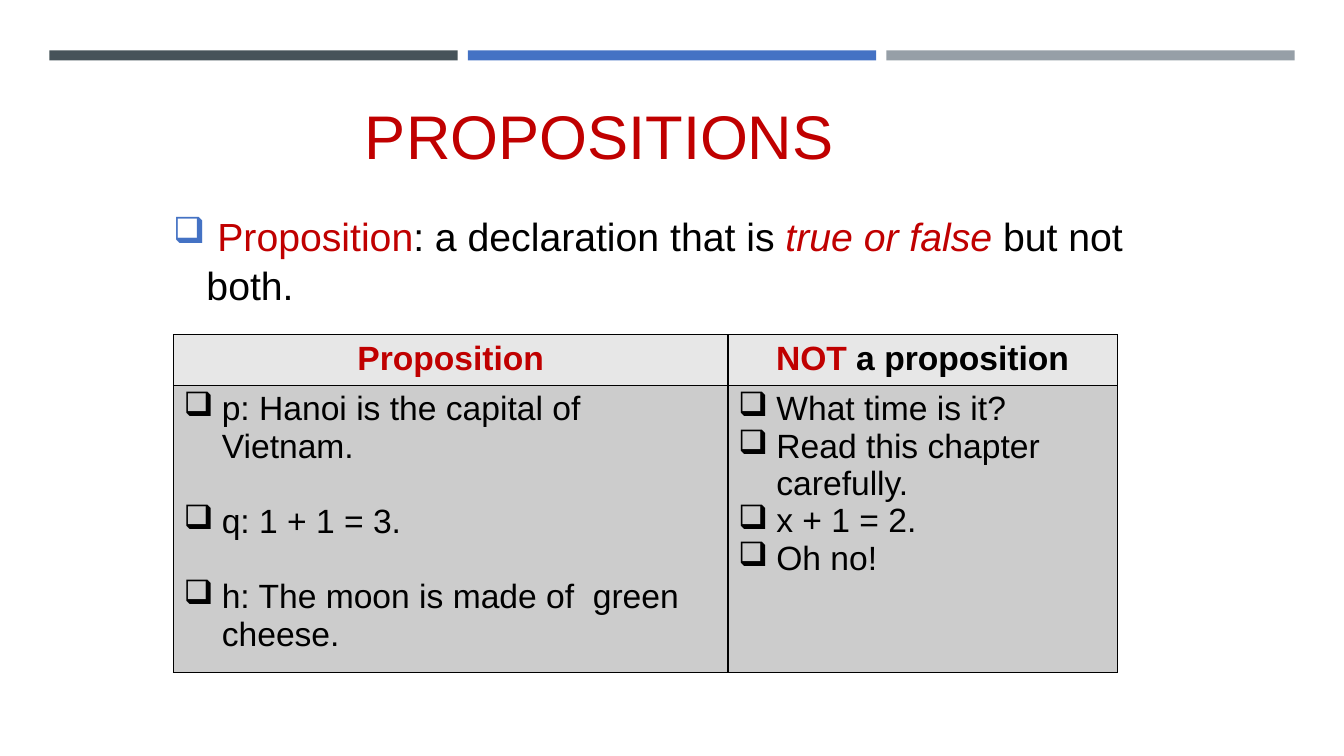
"""Build a slide that defines propositions and contrasts examples in a table."""
from lxml import etree
from pptx import Presentation
from pptx.dml.color import RGBColor
from pptx.enum.shapes import MSO_SHAPE
from pptx.enum.text import MSO_ANCHOR, PP_ALIGN
from pptx.oxml.ns import qn
from pptx.util import Inches, Pt

RECTANGLE = MSO_SHAPE.RECTANGLE
TOP, BOTTOM = MSO_ANCHOR.TOP, MSO_ANCHOR.BOTTOM
LEFT, CENTER = PP_ALIGN.LEFT, PP_ALIGN.CENTER

SLATE = RGBColor(0x46, 0x53, 0x59)
BLUE = RGBColor(0x44, 0x72, 0xC4)
GRAY = RGBColor(0x96, 0x9F, 0xA7)
RED = RGBColor(0xC0, 0x00, 0x00)
BLACK = RGBColor(0x00, 0x00, 0x00)
HEADER_FILL = RGBColor(0xE7, 0xE7, 0xE7)
BODY_FILL = RGBColor(0xCC, 0xCC, 0xCC)
FONT = "Arial"

TITLE = "PROPOSITIONS"
DEFINITION = [
    (" ", BLACK, False),
    ("Proposition", RED, False),
    (": a declaration that is ", BLACK, False),
    ("true or false ", RED, True),
    ("but not both.", BLACK, False),
]
COLUMNS = [
    {
        "width": 5.5,
        "header": [("Proposition", RED, False)],
        "examples": [
            "p: Hanoi is the capital of Vietnam.",
            "q: 1 + 1 = 3.",
            "h: The moon is made of  green cheese.",
        ],
        "gap": 27,
    },
    {
        "width": 3.86,
        "header": [("NOT", RED, False), (" a proposition", BLACK, False)],
        "examples": [
            "What time is it?",
            "Read this chapter carefully.",
            "x + 1 = 2.",
            "Oh no!",
        ],
        "gap": 0,
    },
]
BAR_COLORS = [SLATE, BLUE, GRAY]
BAR_LEFT, BAR_TOP, BAR_WIDTH, BAR_HEIGHT, BAR_PITCH = 0.49, 0.5, 4.05, 0.1, 4.15
ROW_HEIGHTS = [0.47, 2.7]


def box(*lengths):
    return [Inches(length) for length in lengths]


def add_bullet(paragraph, indent, color=None, percent=100):
    properties = paragraph._p.get_or_add_pPr()
    properties.set("marL", str(Inches(indent)))
    properties.set("indent", str(-Inches(indent)))
    if color is not None:
        bullet_color = etree.SubElement(properties, qn("a:buClr"))
        etree.SubElement(bullet_color, qn("a:srgbClr"), val=str(color))
    etree.SubElement(properties, qn("a:buSzPct"), val=str(percent * 1000))
    etree.SubElement(properties, qn("a:buChar"), char="❑")


def set_font(paragraph, size, bold=False, color=BLACK):
    font = paragraph.font
    font.name, font.size, font.bold = FONT, Pt(size), bold
    font.color.rgb = color


def add_runs(paragraph, pieces):
    for text, color, italic in pieces:
        run = paragraph.add_run()
        run.text = text
        run.font.color.rgb = color
        run.font.italic = italic


def format_cell(cell, fill):
    properties = cell._tc.get_or_add_tcPr()
    for side in ("lnL", "lnR", "lnT", "lnB"):
        border = etree.SubElement(properties, qn(f"a:{side}"), w=str(Pt(1)))
        border_fill = etree.SubElement(border, qn("a:solidFill"))
        etree.SubElement(border_fill, qn("a:srgbClr"), val=str(BLACK))
    cell.fill.solid()
    cell.fill.fore_color.rgb = fill


def add_bars(slide):
    for index, color in enumerate(BAR_COLORS):
        left = BAR_LEFT + index * BAR_PITCH
        bar = slide.shapes.add_shape(RECTANGLE, *box(left, BAR_TOP, BAR_WIDTH, BAR_HEIGHT))
        bar.shadow.inherit = False
        bar.fill.solid()
        bar.fill.fore_color.rgb = color
        bar.line.fill.background()


def add_title(slide):
    title = slide.shapes.title
    title.left, title.top, title.width, title.height = box(3.52, 0.5, 7.68, 1.25)
    title.text_frame.text = TITLE
    title.text_frame.vertical_anchor = BOTTOM
    heading = title.text_frame.paragraphs[0]
    heading.alignment = LEFT
    set_font(heading, 44, color=RED)


def add_definition(slide):
    frame = slide.shapes.add_textbox(*box(1.62, 2.03, 9.87, 1.1)).text_frame
    frame.word_wrap = True
    frame.vertical_anchor = TOP
    definition = frame.paragraphs[0]
    definition.line_spacing = 1.05
    add_bullet(definition, 0.33, BLUE, 92)
    set_font(definition, 28)
    add_runs(definition, DEFINITION)


def add_examples(slide):
    width = sum(column["width"] for column in COLUMNS)
    place = box(1.72, 3.32, width, sum(ROW_HEIGHTS))
    table = slide.shapes.add_table(len(ROW_HEIGHTS), len(COLUMNS), *place).table
    table.horz_banding = False
    for row, height in zip(table.rows, ROW_HEIGHTS):
        row.height = Inches(height)
    for index, column in enumerate(COLUMNS):
        table.columns[index].width = Inches(column["width"])
        header, body = table.cell(0, index), table.cell(1, index)
        format_cell(header, HEADER_FILL)
        format_cell(body, BODY_FILL)
        heading = header.text_frame.paragraphs[0]
        heading.alignment = CENTER
        set_font(heading, 24, bold=True)
        add_runs(heading, column["header"])
        body.text_frame.text = "\n".join(column["examples"])
        for number, example in enumerate(body.text_frame.paragraphs):
            if number and column["gap"]:
                example.space_before = Pt(column["gap"])
            add_bullet(example, 0.38)
            set_font(example, 24)


def main():
    presentation = Presentation()
    presentation.slide_width, presentation.slide_height = box(13.33, 7.5)
    slide = presentation.slides.add_slide(presentation.slide_layouts[5])
    add_bars(slide)
    add_title(slide)
    add_definition(slide)
    add_examples(slide)
    presentation.save("out.pptx")


if __name__ == "__main__":
    main()
